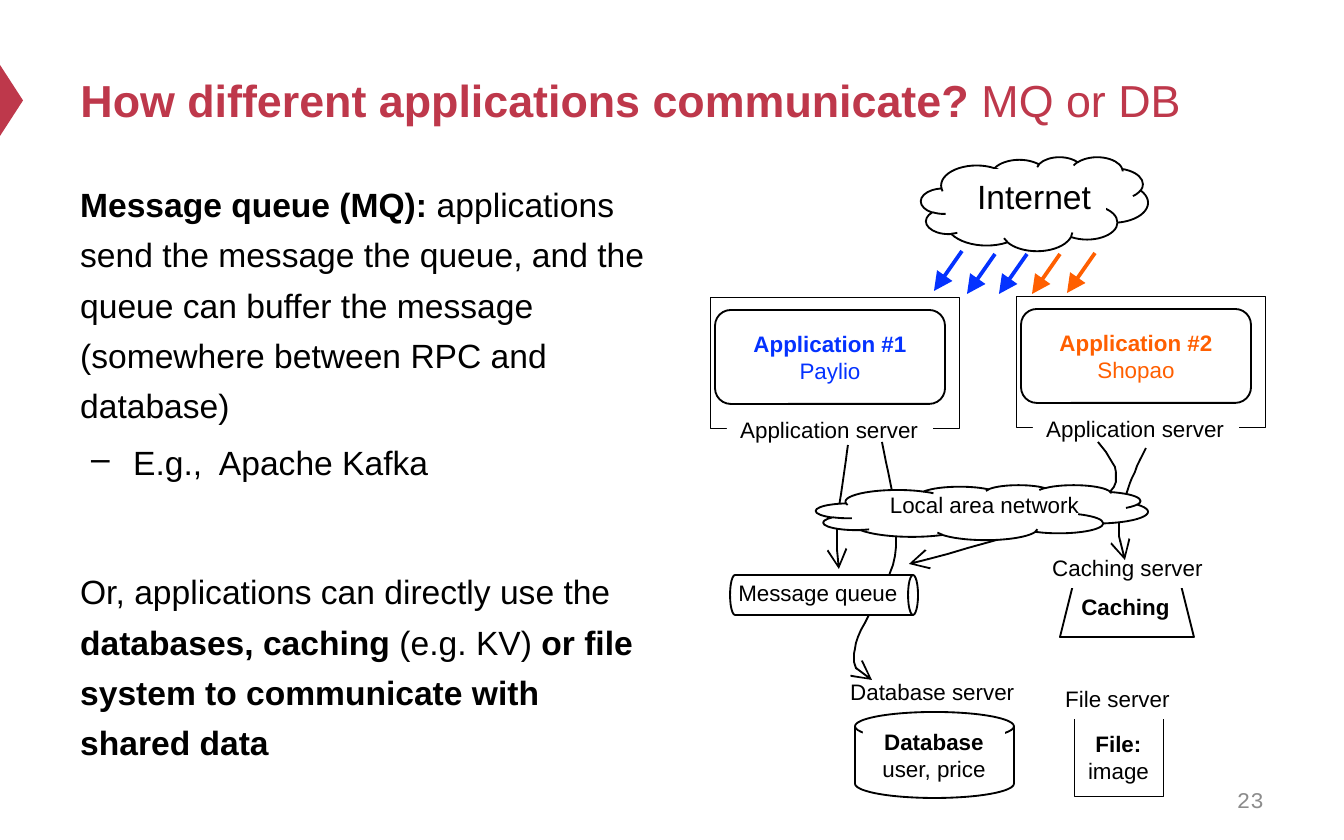
from lxml import etree
from pptx import Presentation
from pptx.dml.color import RGBColor
from pptx.enum.shapes import MSO_CONNECTOR, MSO_SHAPE
from pptx.enum.text import MSO_ANCHOR, PP_ALIGN
from pptx.oxml.ns import qn
from pptx.util import Emu, Pt

EMU_PER_PX = 914400 / 134.4
LEFT, CENTER, RIGHT = PP_ALIGN.LEFT, PP_ALIGN.CENTER, PP_ALIGN.RIGHT
TOP, MIDDLE = MSO_ANCHOR.TOP, MSO_ANCHOR.MIDDLE
RECTANGLE, CLOUD = MSO_SHAPE.RECTANGLE, MSO_SHAPE.CLOUD

COLORS = {"red": "BE384B", "black": "000000", "white": "FFFFFF",
          "blue": "0432FF", "orange": "FF5F00", "gray": "8C8C8C"}

TITLE = [("How different applications communicate?", True), (" MQ or DB", False)]
BODY = [
    {"runs": [("Message queue (MQ): ", True),
              ("applications send the message the queue, and the queue can buffer "
               "the message (somewhere between RPC and database)", False)],
     "before": 0},
    {"runs": [("E.g.,  Apache Kafka", False)], "before": 3.6, "bullet": "–"},
    {"runs": [("Or, applications can directly use the ", False),
              ("databases, caching ", True), ("(e.g. KV)", False),
              (" or file system to communicate with shared data", True)],
     "before": 42},
]
REQUESTS = [(962, 251, "blue"), (995, 254, "blue"), (1027, 254, "blue"),
            (1060, 254, "orange"), (1095, 253, "orange")]
REQUEST_STEP = (-28, 40)
APPLICATIONS = [(710, 297, "Application #1", "Paylio", "blue"),
                (1016, 296, "Application #2", "Shopao", "orange")]
CACHE_CURVES = [
    [(1098, 442), (1114, 462), (1130, 481), (1098, 503),
     (1067, 523), (988, 543), (909, 564)],
    [(1146, 448), (1134, 472), (1124, 496), (1120, 515),
     (1117, 534), (1121, 547), (1125, 560)],
]
DATABASE_CURVE = [(882, 442), (891, 481), (899, 521), (895, 556),
                  (890, 590), (857, 628), (855, 649),
                  (851, 669), (861, 675), (872, 680)]
QUEUE_CURVE = [(848, 445), (844, 474), (840, 504), (837, 524),
               (836, 546), (837, 558), (839, 569)]
CURVE_STEPS = 12


def px(value):
    return Emu(round(value * EMU_PER_PX))


def color(name):
    return RGBColor.from_string(COLORS[name])


def set_font(font, size, color_name, name="Arial"):
    font.name, font.size = name, Pt(size)
    font.color.rgb = color(color_name)


def add_runs(paragraph, runs):
    for text, bold in runs:
        run = paragraph.add_run()
        run.text, run.font.bold = text, bold


def add_box(kind, box, fill=None, line=None, width=1):
    shape = slide.shapes.add_shape(kind, *map(px, box))
    shape.shadow.inherit = False
    if fill:
        shape.fill.solid()
        shape.fill.fore_color.rgb = color(fill)
    else:
        shape.fill.background()
    if line:
        shape.line.color.rgb = color(line)
        shape.line.width = Pt(width)
    else:
        shape.line.fill.background()
    return shape


def write(shape, lines, size=12, color_name="black", align=CENTER,
          anchor=TOP, wrap=True, font_name="Arial"):
    frame = shape.text_frame
    frame.word_wrap, frame.vertical_anchor = wrap, anchor
    for index, (text, bold) in enumerate(lines):
        paragraph = frame.add_paragraph() if index else frame.paragraphs[0]
        paragraph.text, paragraph.alignment = text, align
        set_font(paragraph.font, size, color_name, font_name)
        paragraph.font.bold = bold


def add_label(box, text, size=12):
    write(add_box(RECTANGLE, box, "white"), [(text, False)], size,
          align=LEFT, wrap=False)


def add_text(box, lines, **options):
    write(slide.shapes.add_textbox(*map(px, box)), lines, **options)


def add_arrowhead(shape, kind):
    etree.SubElement(shape.line._get_or_add_ln(), qn("a:tailEnd"),
                     type=kind, w="lg", len="lg")


def add_request(x, y, color_name):
    dx, dy = REQUEST_STEP
    arrow = slide.shapes.add_connector(
        MSO_CONNECTOR.STRAIGHT, px(x), px(y), px(x + dx), px(y + dy))
    arrow.line.color.rgb = color(color_name)
    arrow.line.width = Pt(2)
    add_arrowhead(arrow, "triangle")
    etree.SubElement(arrow._element.spPr, qn("a:effectLst"))


def bezier(points, t):
    weights = ((1 - t) ** 3, 3 * t * (1 - t) ** 2, 3 * t * t * (1 - t), t ** 3)
    return tuple(sum(w * p[axis] for w, p in zip(weights, points)) for axis in (0, 1))


def add_curve(points):
    samples = [bezier(points[start:start + 4], step / CURVE_STEPS)
               for start in range(0, len(points) - 1, 3)
               for step in range(1, CURVE_STEPS + 1)]
    builder = slide.shapes.build_freeform(*points[0], scale=EMU_PER_PX)
    builder.add_line_segments(samples, close=False)
    curve = builder.convert_to_shape()
    curve.shadow.inherit = False
    curve.fill.background()
    curve.line.color.rgb = color("black")
    curve.line.width = Pt(1)
    add_arrowhead(curve, "arrow")


def add_application(x, y, name, product, color_name):
    add_box(RECTANGLE, (x, y, 250, 132), "white", "black", 0.5)
    card = add_box(MSO_SHAPE.ROUNDED_RECTANGLE, (x + 5, y + 13, 230, 94),
                   "white", "black")
    write(card, [(name, True), (product, False)], color_name=color_name, anchor=MIDDLE)
    add_label((x + 17, y + 113, 206, 40), "Application server")


def add_body():
    frame = slide.shapes.add_textbox(*map(px, (67, 167, 605, 613))).text_frame
    frame.word_wrap = True
    for index, item in enumerate(BODY):
        paragraph = frame.add_paragraph() if index else frame.paragraphs[0]
        paragraph.line_spacing = 1.25
        paragraph.space_before = Pt(item["before"])
        if "bullet" in item:
            properties = paragraph._p.get_or_add_pPr()
            properties.set("marL", str(px(53)))
            properties.set("indent", str(px(-42)))
            etree.SubElement(properties, qn("a:buChar"), char=item["bullet"])
        set_font(paragraph.font, 18, "black")
        add_runs(paragraph, item["runs"])


presentation = Presentation()
presentation.slide_width, presentation.slide_height = px(1344), px(840)
slide = presentation.slides.add_slide(presentation.slide_layouts[5])

title = slide.shapes.title
title.left, title.top, title.width, title.height = map(px, (67, 34, 1210, 132))
title.text_frame.vertical_anchor = MIDDLE
heading = title.text_frame.paragraphs[0]
heading.alignment = LEFT
set_font(heading.font, 24, "red")
add_runs(heading, TITLE)

add_box(MSO_SHAPE.ISOSCELES_TRIANGLE, (-24, 89, 71, 23), "red").rotation = 90
add_body()
add_text((964, 778, 313, 44), [("23", False)], color_name="gray", align=RIGHT,
         anchor=MIDDLE, font_name="Courier New")

add_box(CLOUD, (921, 157, 227, 94), "white", "black")
add_label((964, 169, 142, 54), "Internet", 18)
for request in REQUESTS:
    add_request(*request)
for application in APPLICATIONS:
    add_application(*application)

add_label((837, 672, 192, 40), "Database server")
add_box(MSO_SHAPE.FLOWCHART_MAGNETIC_DISK, (855, 712, 159, 86), line="black")
write(add_box(RECTANGLE, (863, 722, 142, 67), "white"),
      [("Database", True), ("user, price", False)])

add_box(RECTANGLE, (1074, 704, 90, 92), "white", "black", 0.5)
add_label((1052, 679, 133, 40), "File server")
add_text((1052, 724, 133, 67), [("File:", True), ("image", False)])

add_box(MSO_SHAPE.TRAPEZOID, (1060, 578, 134, 59), "white", "black")
add_text((1067, 587, 117, 40), [("Caching", True)], wrap=False)
add_label((1039, 548, 179, 40), "Caching server")

for curve_points in CACHE_CURVES + [DATABASE_CURVE]:
    add_curve(curve_points)
add_box(MSO_SHAPE.CAN, (804, 501, 40, 188), "white", "black").rotation = 90
add_text((724, 573, 188, 40), [("Message queue", False)])
add_curve(QUEUE_CURVE)
add_box(CLOUD, (816, 485, 332, 55), "white", "black")
add_text((821, 485, 327, 40), [("Local area network", False)])

presentation.save("out.pptx")
